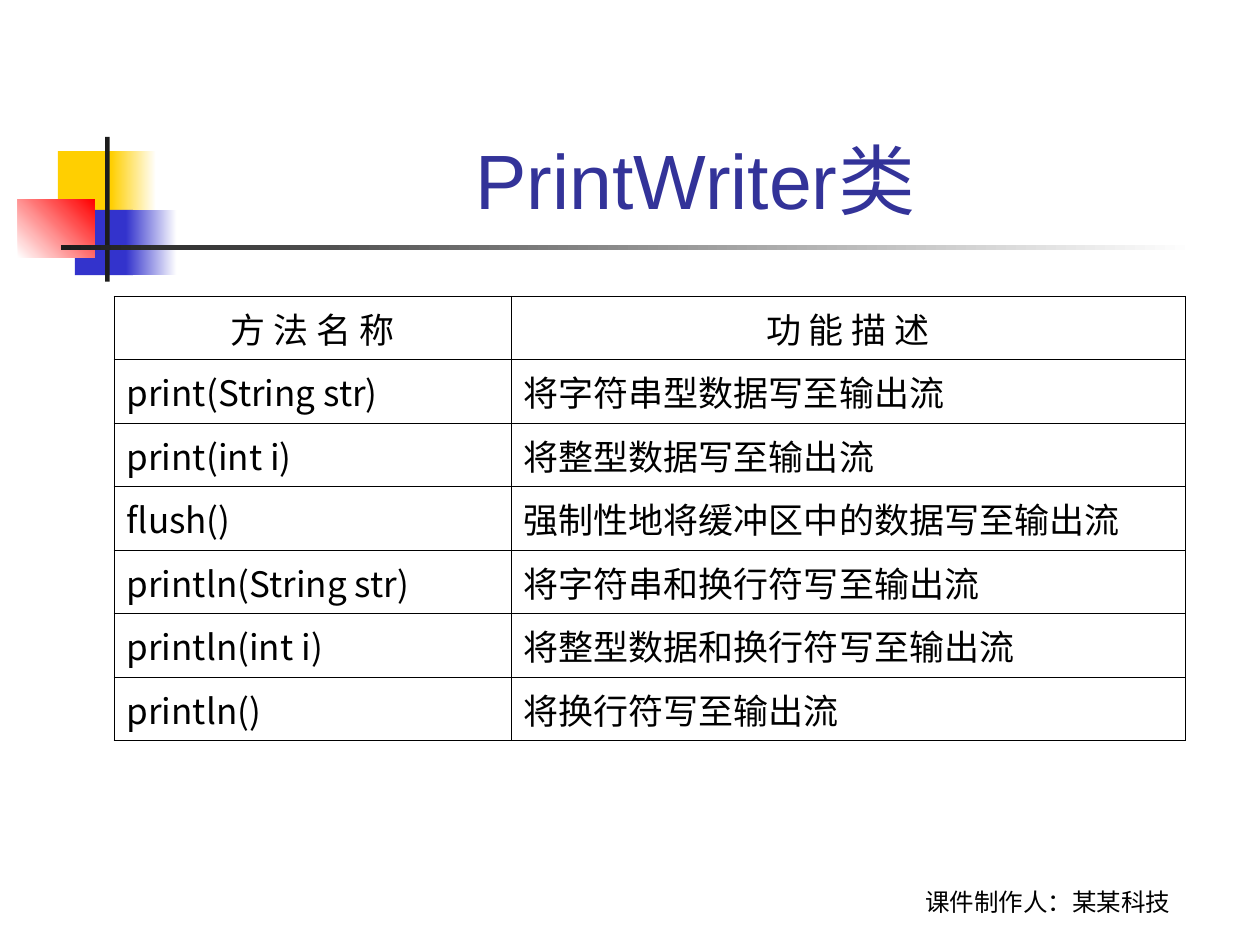
from dataclasses import dataclass
from typing import Optional

from lxml.etree import SubElement
from pptx import Presentation
from pptx.dml.color import RGBColor
from pptx.enum.shapes import MSO_SHAPE
from pptx.enum.text import MSO_ANCHOR as Anchor, PP_ALIGN as Align
from pptx.oxml.ns import qn
from pptx.util import Cm, Pt

COLOURS = {
    "yellow": "FFCF01",
    "blue": "3333CC",
    "red": "FF0000",
    "dark": "1C1C1C",
    "white": "FFFFFF",
    "title": "333399",
    "black": "000000",
}
CJK_FONT = "Noto Sans CJK SC"
BORDER_WIDTH = Pt(0.45)
COLUMN_WIDTHS = (8.0, 13.59)
ROW_HEIGHT = 1.28
METHODS = [
    ("方 法 名 称", "功 能 描 述"),
    ("print(String str)", "将字符串型数据写至输出流"),
    ("print(int i)", "将整型数据写至输出流"),
    ("flush()", "强制性地将缓冲区中的数据写至输出流"),
    ("println(String str)", "将字符串和换行符写至输出流"),
    ("println(int i)", "将整型数据和换行符写至输出流"),
    ("println()", "将换行符写至输出流"),
]


@dataclass
class Box:
    left: float
    top: float
    width: float
    height: float

    def lengths(self) -> tuple:
        return Cm(self.left), Cm(self.top), Cm(self.width), Cm(self.height)


@dataclass
class Block:
    box: Box
    colour: str
    end_colour: Optional[str] = None
    angle: float = 0


@dataclass
class Style:
    size: float
    font: str
    colour: str = "black"
    align: Align = Align.CENTER


BLOCKS = [
    Block(Box(1.17, 3.05, 1.22, 1.32), "yellow"),
    Block(Box(2.24, 3.05, 0.91, 1.32), "yellow", "white"),
    Block(Box(1.51, 4.23, 1.17, 1.32), "blue"),
    Block(Box(2.54, 4.23, 1.02, 1.32), "blue", "white"),
    Block(Box(0.36, 4.02, 1.55, 1.18), "white", "red", 45),
    Block(Box(2.12, 2.76, 0.09, 2.92), "dark"),
    Block(Box(1.23, 4.94, 22.86, 0.1), "dark", "white"),
]


def rgb(name: str) -> RGBColor:
    return RGBColor.from_string(COLOURS[name])


def draw_block(slide, block: Block) -> None:
    shape = slide.shapes.add_shape(MSO_SHAPE.RECTANGLE, *block.box.lengths())
    shape.shadow.inherit = False
    shape.line.fill.background()
    if block.end_colour is None:
        shape.fill.solid()
        shape.fill.fore_color.rgb = rgb(block.colour)
        return
    shape.fill.gradient()
    shape.fill.gradient_angle = block.angle
    for stop, name in zip(shape.fill.gradient_stops, (block.colour, block.end_colour)):
        stop.color.rgb = rgb(name)


def write_text(text_frame, text: str, style: Style) -> None:
    paragraph = text_frame.paragraphs[0]
    paragraph.alignment = style.align
    run = paragraph.add_run()
    run.text = text
    for name, value in {"size": Pt(style.size), "name": style.font}.items():
        setattr(run.font, name, value)
    run.font.color.rgb = rgb(style.colour)
    SubElement(run.font._element, qn("a:ea"), typeface=CJK_FONT)


def draw_text(slide, box: Box, text: str, style: Style) -> None:
    """Add a wrapping text box whose text stands on its bottom edge."""
    text_frame = slide.shapes.add_textbox(*box.lengths()).text_frame
    settings = {"word_wrap": True, "vertical_anchor": Anchor.BOTTOM}
    for name, value in settings.items():
        setattr(text_frame, name, value)
    write_text(text_frame, text, style)


def add_borders(cell) -> None:
    properties = cell._tc.get_or_add_tcPr()
    for index, side in enumerate(("lnL", "lnR", "lnT", "lnB")):
        line = properties.makeelement(qn(f"a:{side}"), {"w": str(BORDER_WIDTH)})
        fill = SubElement(line, qn("a:solidFill"))
        SubElement(fill, qn("a:srgbClr"), val=COLOURS["black"])
        properties.insert(index, line)


def draw_table(slide, left: float, top: float) -> None:
    box = Box(left, top, sum(COLUMN_WIDTHS), ROW_HEIGHT * len(METHODS))
    table = slide.shapes.add_table(
        len(METHODS), len(COLUMN_WIDTHS), *box.lengths()
    ).table
    table.first_row = table.horz_banding = False
    for column, width in zip(table.columns, COLUMN_WIDTHS):
        column.width = Cm(width)
    for row_index, texts in enumerate(METHODS):
        align = Align.LEFT if row_index else Align.CENTER
        for column_index, text in enumerate(texts):
            cell = table.cell(row_index, column_index)
            cell.vertical_anchor = Anchor.MIDDLE
            cell.fill.background()
            add_borders(cell)
            write_text(cell.text_frame, text, Style(20, CJK_FONT, align=align))


def main() -> None:
    presentation = Presentation()
    presentation.slide_width, presentation.slide_height = Cm(25.4), Cm(19.05)
    slide = presentation.slides.add_slide(presentation.slide_layouts[6])
    for block in BLOCKS:
        draw_block(slide, block)
    draw_text(slide, Box(17.1, 17.33, 8.05, 1.27), "课件制作人：某某科技",
              Style(14, "Karla"))
    draw_text(slide, Box(3.2, 0.6, 21.64, 4.06), "PrintWriter类",
              Style(44, "Arial", "title"))
    draw_table(slide, 2.3, 5.97)
    presentation.save("out.pptx")


if __name__ == "__main__":
    main()
